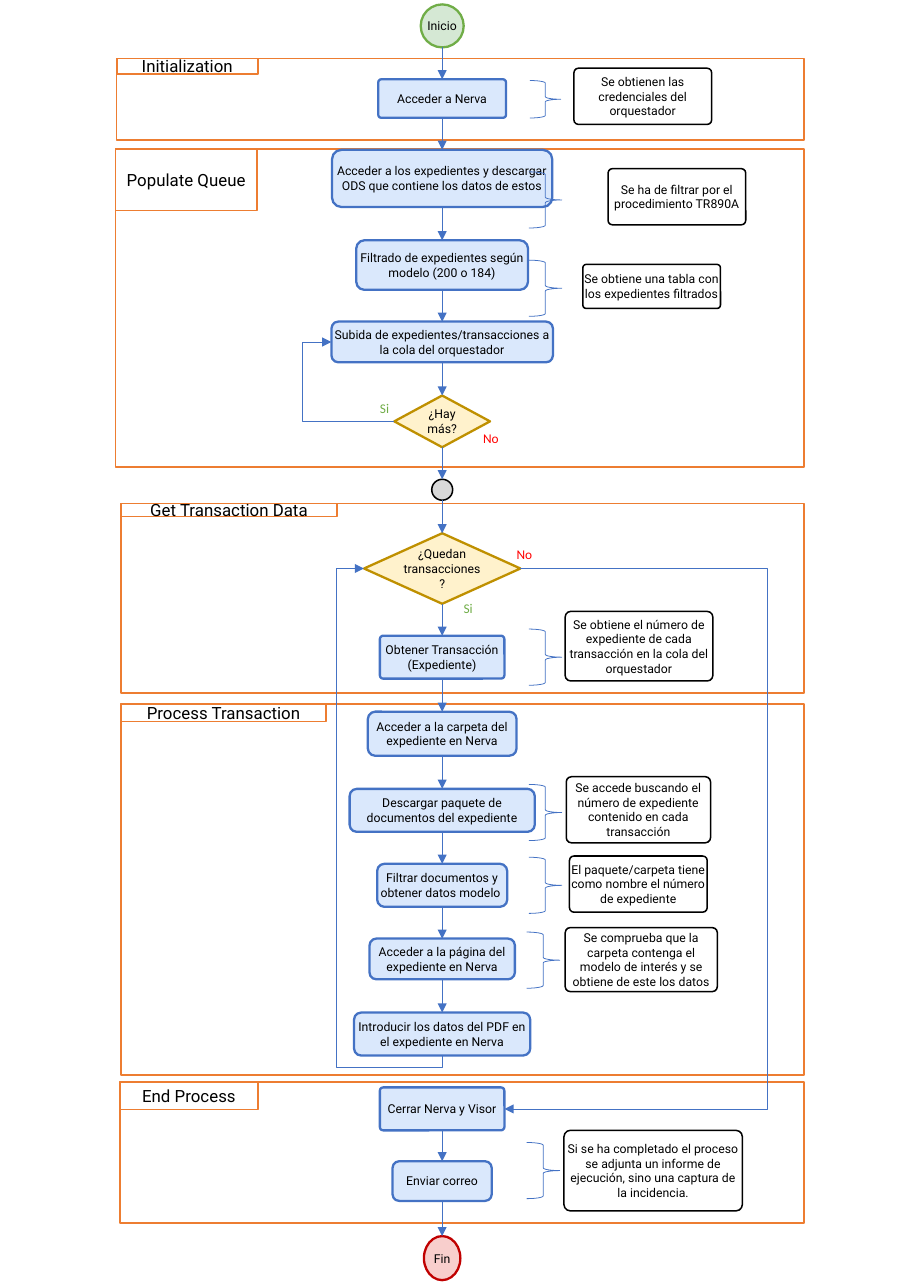
from lxml.etree import SubElement
from pptx import Presentation
from pptx.dml.color import RGBColor
from pptx.enum.shapes import MSO_CONNECTOR as Connector, MSO_SHAPE as Shape
from pptx.enum.text import MSO_ANCHOR as Anchor, PP_ALIGN as Align
from pptx.oxml.ns import qn
from pptx.util import Pt

BLUE, ORANGE, GREEN, RED, BLACK = "4472C4", "ED7D31", "70AD47", "FF0000", "000000"
CENTER, RIGHT = 289, 525.6  # axis of the flow, right edge of the frames
LABEL_WIDTH, LABEL_HEIGHT = 18, 10.8

# title, left, top, height, tab width, tab height
FRAMES = [
    ("Initialization", 76.3, 38.2, 53.3, 92.2, 10.1),
    ("Populate Queue", 75.6, 97.2, 208.1, 92.2, 40.3),
    ("Get Transaction Data", 79.2, 329, 123.8, 141.1, 8.6),
    ("Process Transaction", 79.2, 460.1, 242.6, 133.9, 11.5),
    ("End Process", 78.5, 707, 92.2, 90, 18),
]

# kind: preset shape, corner radius, fill, line, line width
KINDS = {
    "start": (Shape.FLOWCHART_CONNECTOR, None, "D5E8D4", GREEN, 1.5),
    "end": (Shape.FLOWCHART_CONNECTOR, None, "F8CECC", "C00000", 1.5),
    "junction": (Shape.OVAL, None, "D9D9D9", BLACK, 1),
    "step": (Shape.ROUNDED_RECTANGLE, 0.167, "DAE8FC", BLUE, 1.5),
    "sharp step": (Shape.ROUNDED_RECTANGLE, 0.079, "DAE8FC", BLUE, 1.5),
    "decision": (Shape.FLOWCHART_DECISION, None, "FFF2CC", "BF9000", 1.5),
    "note": (Shape.ROUNDED_RECTANGLE, 0.079, "FFFFFF", BLACK, 1),
    "frame": (Shape.FLOWCHART_PROCESS, None, None, ORANGE, 1),
    "brace": (Shape.LEFT_BRACE, None, None, BLUE, 0.5),
}

# Two chains of nodes: kind, text, top, width, height
MAIN_FLOW = [
    ("start", "Inicio", 2.9, 28.1, 28.1),
    ("sharp step", "Acceder a Nerva", 51.8, 83.5, 25.2),
    ("step", "Acceder a los expedientes y descargar ODS que contiene los datos de estos",
     97.9, 144, 37.4),
    ("step", "Filtrado de expedientes según modelo (200 o 184)", 157, 112.3, 32.4),
    ("step", "Subida de expedientes/transacciones a la cola del orquestador",
     210.2, 144.7, 26.6),
    ("decision", "¿Hay más?", 258.5, 62.6, 33.8),
    ("junction", "", 313.2, 13.7, 13.7),
    ("decision", "¿Quedan transacciones?", 348.5, 102.2, 46.1),
    ("sharp step", "Obtener Transacción\n(Expediente)", 415.4, 81.4, 28.1),
    ("step", "Acceder a la carpeta del expediente en Nerva", 465.1, 97.2, 28.8),
    ("step", "Descargar paquete de documentos del expediente", 515.5, 121, 28.1),
    ("step", "Filtrar documentos y obtener datos modelo ", 564.5, 85, 28.1),
    ("step", "Acceder a la página del expediente en Nerva", 613.4, 95, 26.6),
    ("step", "Introducir los datos del PDF en el expediente en Nerva", 661.7, 115.2, 28.1),
]
CLOSING_FLOW = [
    ("sharp step", "Cerrar Nerva y Visor", 710.6, 81.4, 28.1),
    ("step", "Enviar correo", 758.9, 64.8, 25.9),
    ("end", "Fin", 807.8, 23.8, 28.8),
]

# text, note box (left, top, width, height), brace box
NOTES = [
    ("Se obtienen las credenciales del orquestador",
     (375.1, 44.6, 90, 36.7), (346.3, 52.6, 20.2, 24.5)),
    ("Se ha de filtrar por el procedimiento TR890A",
     (397.4, 110.2, 90, 36.7), (345.6, 112.3, 21.6, 36.7)),
    ("Se obtiene una tabla con los expedientes filtrados",
     (380.9, 172.8, 90, 28.8), (345.6, 170, 21.6, 36.7)),
    ("Se obtiene el número de expediente de cada transacción en la cola del orquestador",
     (369.4, 399.6, 96.5, 45.4), (345.6, 411.1, 21.6, 36.7)),
    ("Se accede buscando el número de expediente contenido en cada transacción",
     (370.1, 507.6, 94.3, 43.2), (345.6, 512.6, 21.6, 36.7)),
    ("El paquete/carpeta tiene como nombre el número de expediente",
     (372.2, 559.4, 90, 36.7), (345.6, 560.2, 21.6, 36.7)),
    ("Se comprueba que la carpeta contenga el modelo de interés y se obtiene de este los datos",
     (369.4, 606.2, 99.4, 41.8), (344.2, 609.1, 21.6, 36.7)),
    ("Si se ha completado el proceso se adjunta un informe de ejecución, sino una captura "
     "de la incidencia.", (368.6, 738.7, 116.6, 52.6), (344.2, 746.6, 21.6, 36.7)),
]

# text, colour, middle, top
BRANCH_LABELS = [
    ("Si", GREEN, 251.3, 261.4),
    ("No", RED, 320.8, 280.8),
    ("No", RED, 342.7, 356.4),
    ("Si", GREEN, 306, 391.7),
]

# start, end, x of the bend, y of the first bend for a line that leaves downwards
LOOPS = [
    ((257.7, 275.4), (216.6, 223.5), 198, None),
    ((340.1, 371.5), (329.7, 724.7), 501.8, None),
    ((CENTER, 689.8), (237.9, 371.5), 219.6, 697.7),
]


def color(value):
    """Turn a hex string into a colour."""
    return RGBColor.from_string(value)


def write(shape, text, size=8, font="Roboto", ink=BLACK, wrap=True):
    """Fill a shape with centred text without insets."""
    frame = shape.text_frame
    frame.text = text
    frame.word_wrap = wrap
    frame.vertical_anchor = Anchor.MIDDLE
    frame.margin_left = frame.margin_right = frame.margin_top = frame.margin_bottom = 0
    for paragraph in frame.paragraphs:
        paragraph.alignment = Align.CENTER
        for run in paragraph.runs:
            run.font.size, run.font.name = Pt(size), font
            run.font.color.rgb = color(ink)


def add_box(kind, box):
    """Add a preset shape styled by its kind."""
    preset, radius, fill, line, width = KINDS[kind]
    shape = slide.shapes.add_shape(preset, *map(Pt, box))
    shape.shadow.inherit = False
    if radius:
        shape.adjustments[0] = radius
    if fill:
        shape.fill.solid()
        shape.fill.fore_color.rgb = color(fill)
    else:
        shape.fill.background()
    shape.line.color.rgb = color(line)
    shape.line.width = Pt(width)
    return shape


def add_arrow(start, end, preset=Connector.STRAIGHT):
    """Add a thin blue connector with an arrowhead at its end."""
    connector = slide.shapes.add_connector(preset, *map(Pt, (*start, *end)))
    connector.line.color.rgb = color(BLUE)
    connector.line.width = Pt(0.5)
    properties = connector._element.spPr
    SubElement(properties.find(qn("a:ln")), qn("a:tailEnd"), type="triangle")
    SubElement(properties, qn("a:effectLst"))
    return connector


def add_loop(start, end, bend_x, bend_y):
    """Add an elbow arrow that swings out beyond its two ends."""
    (x0, y0), (x1, y1) = start, end
    bends = [(bend_x - x0) / (x1 - x0)]
    if bend_y is not None:
        bends.insert(0, (bend_y - y0) / (y1 - y0))
        middle_x, middle_y = (x0 + x1) / 2, (y0 + y1) / 2
        half_x, half_y = (x0 - x1) / 2, (y0 - y1) / 2
        start = middle_x + half_y, middle_y - half_x
        end = middle_x - half_y, middle_y + half_x
    properties = add_arrow(start, end, Connector.ELBOW)._element.spPr
    geometry = properties.find(qn("a:prstGeom"))
    if bend_y is not None:
        properties.find(qn("a:xfrm")).set("rot", "5400000")
        geometry.set("prst", "bentConnector4")
    guides = geometry.find(qn("a:avLst"))
    if guides is None:
        guides = SubElement(geometry, qn("a:avLst"))
    for number, bend in enumerate(bends, 1):
        SubElement(guides, qn("a:gd"), name=f"adj{number}", fmla=f"val {round(bend * 100000)}")


presentation = Presentation()
presentation.slide_width, presentation.slide_height = Pt(595.4), Pt(841.7)
slide = presentation.slides.add_slide(presentation.slide_layouts[6])

for title, left, top, height, tab_width, tab_height in FRAMES:
    add_box("frame", (left, top, RIGHT - left, height))
    write(add_box("frame", (left, top, tab_width, tab_height)), title, 11, wrap=False)

for flow in (MAIN_FLOW, CLOSING_FLOW):
    for kind, text, top, width, height in flow:
        node = add_box(kind, (CENTER - width / 2, top, width, height))
        if text:
            write(node, text, wrap=kind != "end")
    for (*_, top, _, height), (*_, next_top, _, _) in zip(flow, flow[1:]):
        add_arrow((CENTER, top + height), (CENTER, next_top))

for text, note_box, brace_box in NOTES:
    write(add_box("note", note_box), text)
    add_box("brace", brace_box).rotation = 180

for loop in LOOPS:
    add_loop(*loop)

for text, ink, middle, top in BRANCH_LABELS:
    box = (middle - LABEL_WIDTH / 2, top, LABEL_WIDTH, LABEL_HEIGHT)
    write(slide.shapes.add_textbox(*map(Pt, box)), text, 8.7, "Calibri", ink)

presentation.save("out.pptx")
